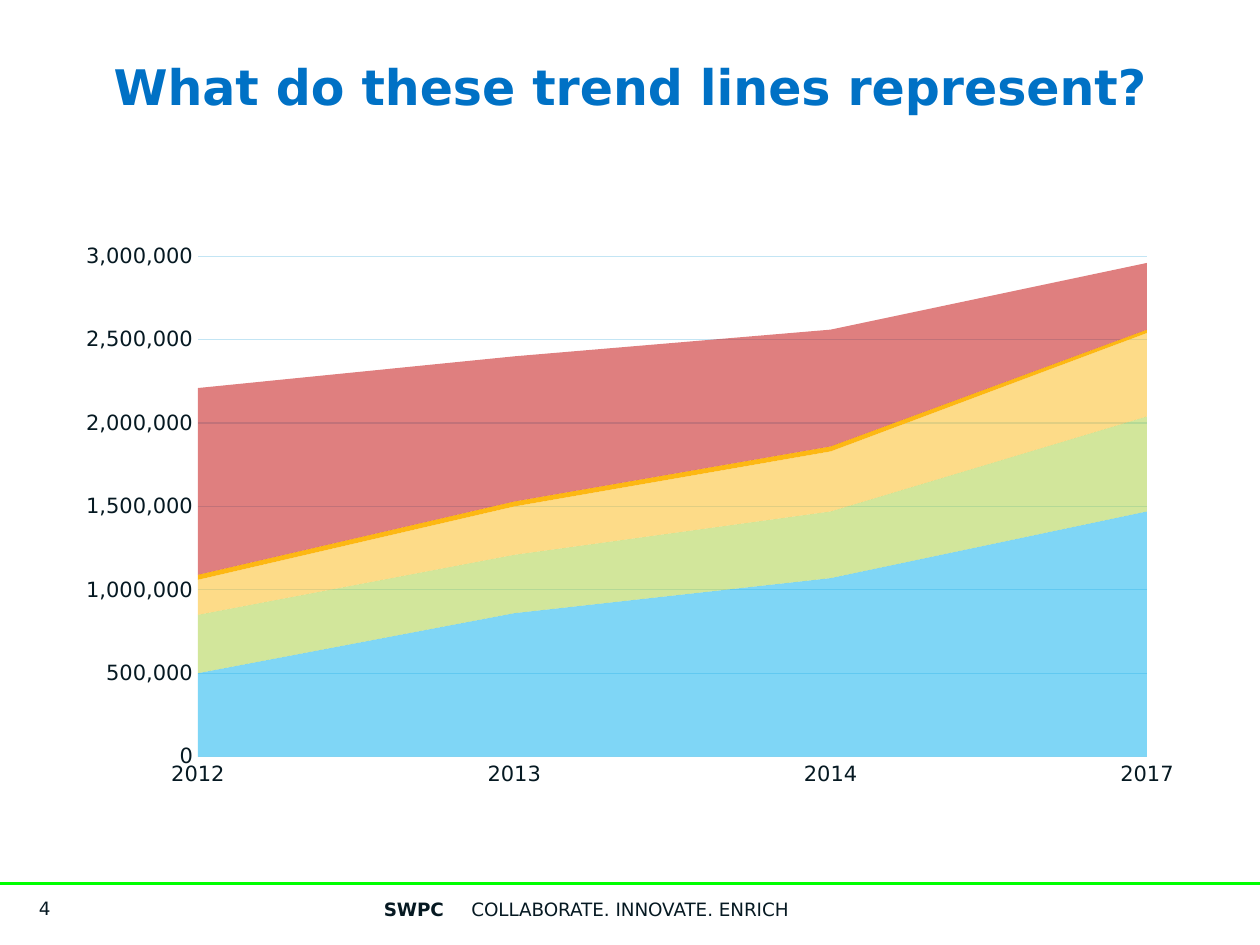
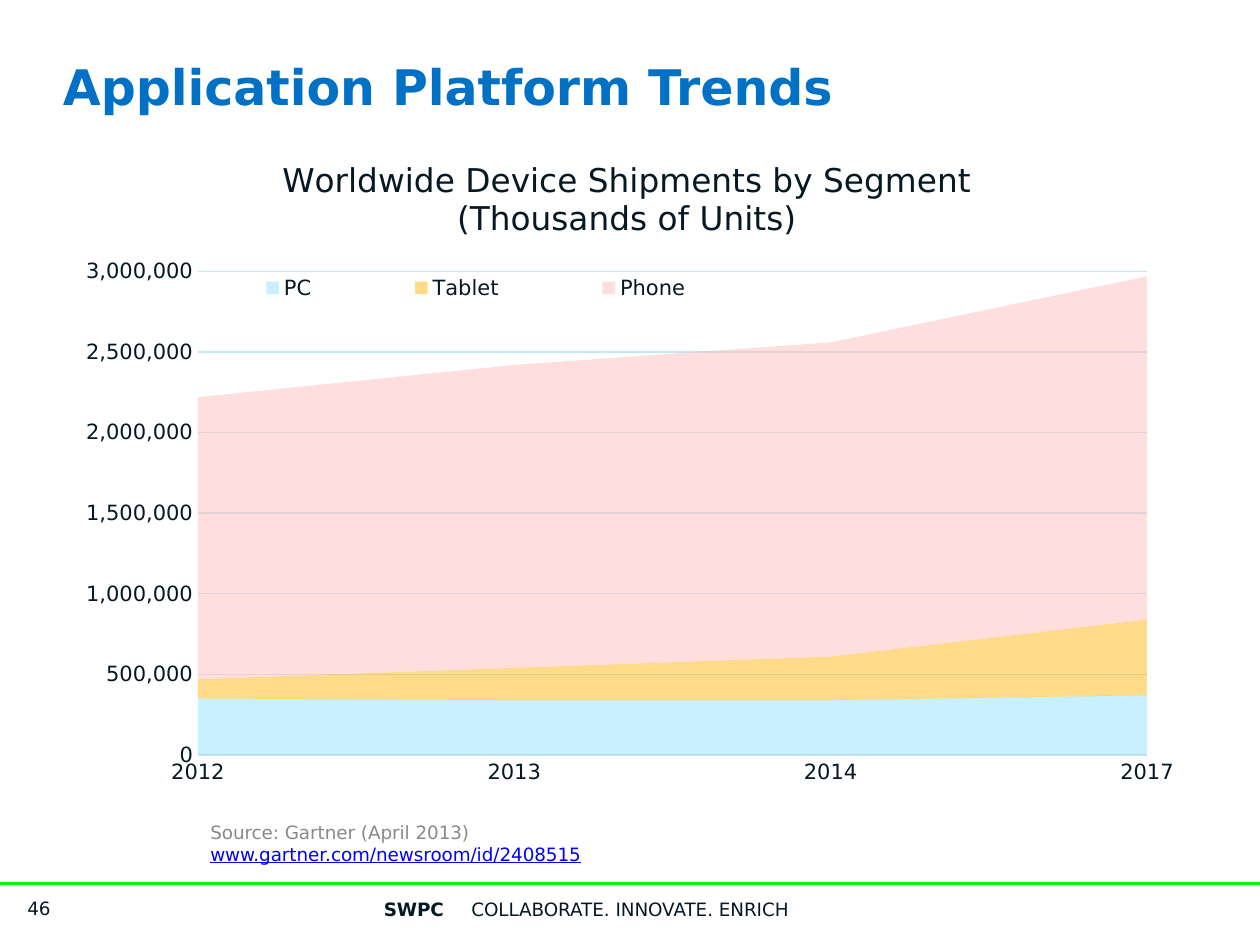
"""Builds two slides of stacked area charts on device shipments."""
from lxml.etree import SubElement
from pptx import Presentation
from pptx.chart.data import CategoryChartData
from pptx.dml.color import RGBColor
from pptx.enum.chart import XL_CHART_TYPE, XL_LEGEND_POSITION, XL_TICK_MARK
from pptx.enum.shapes import MSO_CONNECTOR
from pptx.enum.text import MSO_ANCHOR, PP_ALIGN
from pptx.oxml.ns import qn
from pptx.util import Cm, Pt

FONT = "DejaVu Sans"
INK, TITLE_BLUE, RULE_GREEN, GRID_BLUE = "061922", "0071C5", "00FF00", "C3E5F4"
SOURCE_GRAY, LINK_BLUE = "898989", "0000FF"
YEARS = ["2012", "2013", "2014", "2017"]

color = RGBColor.from_string


def add_text(slide, box, text, size=10.5, hue=INK, bold=False, align=PP_ALIGN.LEFT, inset=0.25):
    frame = slide.shapes.add_textbox(*map(Cm, box)).text_frame
    frame.text = text
    frame.word_wrap = True
    frame.vertical_anchor = MSO_ANCHOR.MIDDLE
    frame.margin_left = frame.margin_right = Cm(inset)
    frame.margin_top = frame.margin_bottom = Cm(inset / 2)
    for paragraph in frame.paragraphs:
        paragraph.alignment = align
        for run in paragraph.runs:
            run.font.name, run.font.size, run.font.bold = FONT, Pt(size), bold
            run.font.color.rgb = color(hue)
    return frame


def set_layout(part, position, fractions, inner=False):
    for old in part.findall(qn("c:layout")):
        part.remove(old)
    layout = SubElement(part, qn("c:layout"))
    part.insert(position, layout)
    manual = SubElement(layout, qn("c:manualLayout"))
    if inner:
        SubElement(manual, qn("c:layoutTarget")).set("val", "inner")
    for axis in "xy":
        SubElement(manual, qn(f"c:{axis}Mode")).set("val", "edge")
    for key, fraction in zip("xywh", fractions):
        SubElement(manual, qn(f"c:{key}")).set("val", str(fraction))


pages = [
    {
        "title": "What do these trend lines represent?", "align": PP_ALIGN.CENTER, "number": "4",
        "chart_box": (1.27, 4.7, 22.86, 11.4), "plot": (0.119, 0.041, 0.837, 0.885),
        "series": [
            ("Series 1", [500000, 860000, 1070000, 1470000], "00AEEF", 50),
            ("Series 2", [350000, 350000, 400000, 570000], "A6CE39", 50),
            ("Series 3", [210000, 290000, 360000, 500000], "FDB813", 50),
            ("Series 4", [30000, 30000, 30000, 20000], "FDB813", 100),
            ("Series 5", [1120000, 870000, 700000, 400000], "C00000", 50),
        ],
    },
    {
        "title": "Application Platform Trends", "align": PP_ALIGN.LEFT, "number": "46",
        "chart_box": (1.27, 2.72, 22.86, 14.27), "plot": (0.119, 0.193, 0.837, 0.683),
        "series": [
            ("PC", [350000, 340000, 340000, 370000], "93E2FF", 50),
            ("Series 2", [0], "FFDA00", 100),
            ("Tablet", [120000, 200000, 270000, 470000], "FDB813", 50),
            ("Phone", [1750000, 1880000, 1950000, 2130000], "FFBFBF", 50),
        ],
        "chart_title": "Worldwide Device Shipments by Segment\n(Thousands of Units)",
        "source": "Source: Gartner (April 2013)\nwww.gartner.com/newsroom/id/2408515",
    },
]

prs = Presentation()
prs.slide_width, prs.slide_height = Cm(25.4), Cm(19.05)

for page in pages:
    slide = prs.slides.add_slide(prs.slide_layouts[6])

    footer_rule = slide.shapes.add_connector(MSO_CONNECTOR.STRAIGHT, Cm(25.4), Cm(17.81), 0, Cm(17.81))
    footer_rule.line.color.rgb = color(RULE_GREEN)
    footer_rule.line.width = Pt(2.25)
    SubElement(footer_rule.element.spPr, qn("a:effectLst"))

    shipments = CategoryChartData()
    shipments.categories = YEARS
    for name, values, _, _ in page["series"]:
        shipments.add_series(name, values)
    chart = slide.shapes.add_chart(
        XL_CHART_TYPE.AREA_STACKED, *map(Cm, page["chart_box"]), shipments).chart
    chart.font.name, chart.font.size = FONT, Pt(12)
    chart.font.color.rgb = color(INK)
    chart.has_title = chart.has_legend = False
    chart.plots[0].vary_by_categories = False
    set_layout(chart.element.xpath("c:chart/c:plotArea")[0], 0, page["plot"], inner=True)

    for series, (_, _, hue, opacity) in zip(chart.plots[0].series, page["series"]):
        series.format.fill.solid()
        series.format.fill.fore_color.rgb = color(hue)
        series.format.line.fill.background()
        if opacity < 100:
            fill_color = series.format.fill._xPr.find(qn("a:solidFill"))[0]
            SubElement(fill_color, qn("a:alpha")).set("val", str(opacity * 1000))

    years, units = chart.category_axis, chart.value_axis
    for axis in (years, units):
        axis.major_tick_mark = axis.minor_tick_mark = XL_TICK_MARK.NONE
        axis.tick_labels.font.name, axis.tick_labels.font.size = FONT, Pt(12)
        axis.tick_labels.font.color.rgb = color(INK)
    years.has_major_gridlines = False
    units.has_major_gridlines = True
    for line in (years.format.line, units.major_gridlines.format.line):
        line.color.rgb = color(GRID_BLUE)
        line.width = Pt(0.75)
    units.format.line.fill.background()
    units.minimum_scale, units.maximum_scale, units.major_unit = 0, 3000000, 500000
    units.tick_labels.number_format = "#,##0"
    units.tick_labels.number_format_is_linked = False
    chart.element.xpath(".//c:crossBetween")[0].set("val", "midCat")

    if "chart_title" in page:
        heading = chart.chart_title.text_frame
        heading.text = page["chart_title"]
        for paragraph in heading.paragraphs:
            for run in paragraph.runs:
                run.font.name, run.font.size, run.font.bold = FONT, Pt(18.7), False
                run.font.color.rgb = color(INK)
        set_layout(chart.element.xpath("c:chart/c:title")[0], 1, (0.19, 0.03))

        chart.has_legend = True
        chart.legend.position = XL_LEGEND_POSITION.BOTTOM
        chart.legend.include_in_layout = False
        chart.legend.font.name, chart.legend.font.size = FONT, Pt(12)
        chart.legend.font.color.rgb = color(INK)
        key = chart.element.xpath("c:chart/c:legend")[0]
        hidden = SubElement(key, qn("c:legendEntry"))
        SubElement(hidden, qn("c:idx")).set("val", "1")
        SubElement(hidden, qn("c:delete")).set("val", "1")
        key.insert(1, hidden)
        set_layout(key, 2, (0.094, 0.186, 0.54, 0.06))

    add_text(slide, (1.27, 0.28, 22.86, 2.92), page["title"], 28, TITLE_BLUE, True, page["align"], 0)
    add_text(slide, (0.1, 18.01, 1.17, 0.61), page["number"], align=PP_ALIGN.RIGHT)
    add_text(slide, (3.48, 17.81, 5.72, 1.02), "SWPC", bold=True, align=PP_ALIGN.RIGHT)
    add_text(slide, (8.41, 17.81, 8.59, 1.02), "COLLABORATE. INNOVATE. ENRICH", align=PP_ALIGN.CENTER)

    if "source" in page:
        source = add_text(slide, (4.24, 16.46, 13.46, 1.07), page["source"], hue=SOURCE_GRAY, inset=0)
        address = source.paragraphs[1].runs[0]
        address.font.color.rgb = color(LINK_BLUE)
        address.font.underline = True

prs.save("out.pptx")
